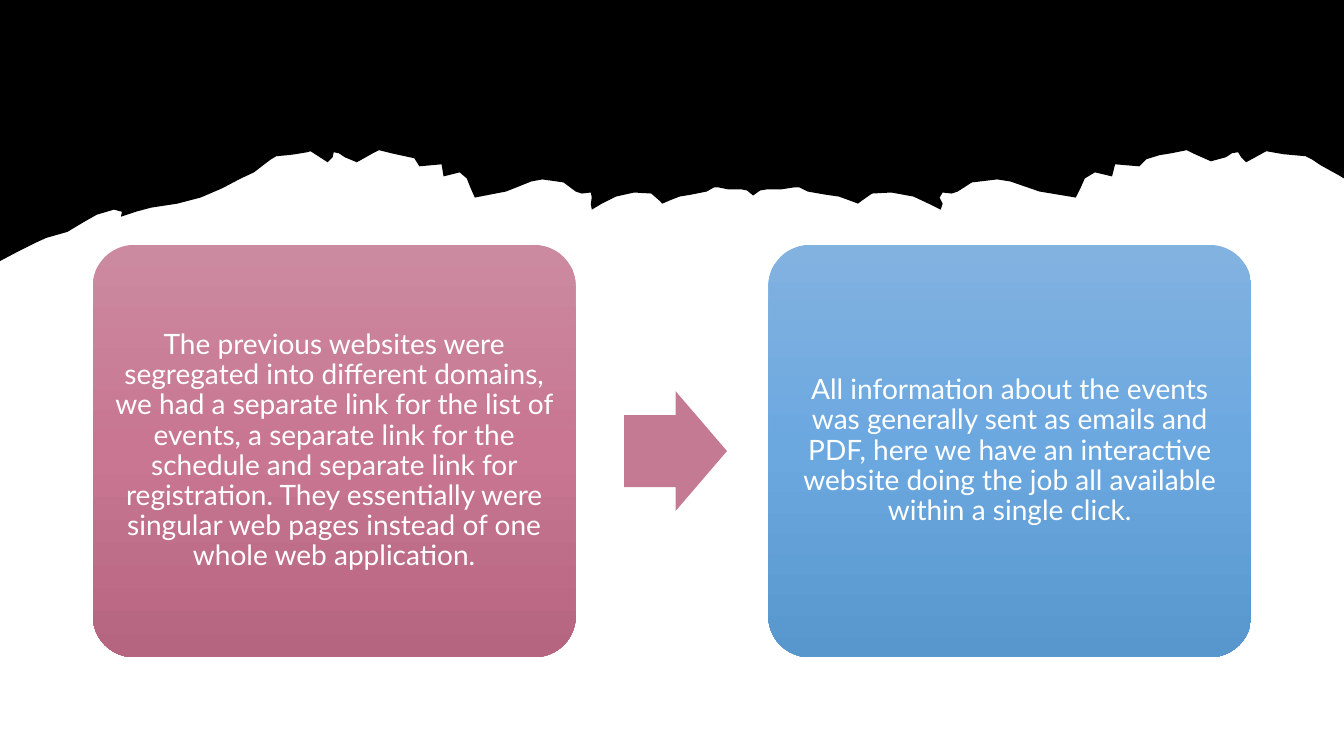
from copy import deepcopy
from dataclasses import dataclass

from lxml.etree import _Element
from pptx import Presentation
from pptx.dml.color import RGBColor
from pptx.enum.shapes import MSO_SHAPE
from pptx.enum.text import MSO_ANCHOR, PP_ALIGN
from pptx.oxml.ns import qn
from pptx.slide import Slide
from pptx.util import Inches, Pt

BLACK = RGBColor(0x00, 0x00, 0x00)
WHITE = RGBColor(0xFF, 0xFF, 0xFF)
ARROW_PINK = RGBColor(0xC4, 0x7A, 0x93)
PINKS = (RGBColor(0xCB, 0x8A, 0x9F), RGBColor(0xC8, 0x76, 0x92), RGBColor(0xB6, 0x65, 0x80))
BLUES = (RGBColor(0x82, 0xB2, 0xE0), RGBColor(0x6B, 0xA8, 0xE0), RGBColor(0x58, 0x96, 0xCE))

SLIDE_W, SLIDE_H = 13.33, 7.5
CARD_TOP, CARD_W, CARD_H = 2.43, 4.79, 4.09
ARROW_W, ARROW_H = 1.02, 1.19

# Torn lower edge of the black band, left to right, in inches
TORN_EDGE: list[tuple[float, float]] = [
    (0, 2.59), (0.19, 2.49), (0.35, 2.41), (0.46, 2.36), (0.67, 2.3), (0.82, 2.21),
    (0.96, 2.13), (1.13, 2.08), (1.21, 2.1), (1.2, 2.15), (1.35, 2.1), (1.5, 2.06),
    (1.76, 2.02), (1.99, 1.96), (2.2, 1.87), (2.39, 1.77), (2.52, 1.71), (2.61, 1.64),
    (2.69, 1.58), (2.74, 1.55), (2.85, 1.54), (2.93, 1.53), (3.05, 1.51), (3.08, 1.5),
    (3.25, 1.61), (3.3, 1.56), (3.31, 1.51), (3.36, 1.52), (3.42, 1.56), (3.54, 1.61),
    (3.7, 1.52), (3.76, 1.49), (3.88, 1.52), (3.97, 1.54), (4.11, 1.57), (4.16, 1.65),
    (4.38, 1.63), (4.4, 1.75), (4.56, 1.71), (4.63, 1.77), (4.67, 1.87), (4.71, 1.96),
    (5.02, 1.9), (5.27, 1.8), (5.38, 1.78), (5.59, 1.81), (5.71, 1.9), (5.77, 1.92),
    (5.86, 1.91), (5.87, 1.96), (5.86, 2.02), (5.87, 2.08), (5.97, 2.02), (6.11, 1.95),
    (6.29, 1.91), (6.46, 1.92), (6.54, 1.99), (6.57, 2.02), (6.64, 1.99), (6.74, 1.95),
    (6.86, 1.93), (7.01, 1.9), (7.08, 1.86), (7.13, 1.86), (7.23, 1.88), (7.36, 1.88),
    (7.41, 1.89), (7.47, 1.94), (7.54, 1.89), (7.6, 1.88), (7.74, 1.88), (7.87, 1.86),
    (7.93, 1.86), (8.01, 1.9), (8.18, 1.93), (8.32, 1.95), (8.43, 1.99), (8.51, 2.02),
    (8.55, 1.99), (8.65, 1.92), (8.84, 1.91), (9.06, 1.95), (9.21, 2.02), (9.33, 2.08),
    (9.35, 2.02), (9.32, 1.96), (9.35, 1.91), (9.44, 1.92), (9.5, 1.9), (9.64, 1.81),
    (9.89, 1.78), (10.02, 1.8), (10.31, 1.9), (10.67, 1.96), (10.72, 1.86), (10.76, 1.77),
    (10.86, 1.71), (11.03, 1.75), (11.06, 1.63), (11.3, 1.65), (11.37, 1.58), (11.5, 1.54),
    (11.62, 1.52), (11.77, 1.49), (11.83, 1.52), (12.01, 1.6), (12.16, 1.56), (12.22, 1.52),
    (12.28, 1.51), (12.31, 1.56), (12.36, 1.61), (12.56, 1.5), (12.73, 1.53), (12.84, 1.54),
    (12.95, 1.55), (13.01, 1.58), (13.1, 1.64), (13.28, 1.74), (13.33, 1.77),
]


@dataclass
class Card:
    left: float
    colors: tuple[RGBColor, RGBColor, RGBColor]
    text: str


CARDS = [
    Card(0.92, PINKS,
         "The previous websites were segregated into different domains, we had a separate link "
         "for the list of events, a separate link for the schedule and separate link for "
         "registration. They essentially were singular web pages instead of one whole web "
         "application."),
    Card(7.62, BLUES,
         "All information about the events was generally sent as emails and PDF, here we have "
         "an interactive website doing the job all available within a single click."),
]


def add_torn_band(s: Slide) -> None:
    corners = [(SLIDE_W, 0), (0, 0)]
    points = [(Inches(x), Inches(y)) for x, y in TORN_EDGE + corners]
    builder = s.shapes.build_freeform(*points[0])
    builder.add_line_segments(points[1:], close=True)
    sp = builder.convert_to_shape()
    sp.shadow.inherit = False
    sp.fill.solid()
    sp.fill.fore_color.rgb = BLACK
    sp.line.fill.background()


def add_card(s: Slide, card: Card) -> None:
    sp = s.shapes.add_shape(MSO_SHAPE.ROUNDED_RECTANGLE, Inches(card.left), Inches(CARD_TOP),
                            Inches(CARD_W), Inches(CARD_H))
    sp.adjustments[0] = 0.1
    sp.shadow.inherit = False
    sp.line.fill.background()

    # Three-stop gradient, top to bottom
    sp.fill.gradient()
    sp.fill.gradient_angle = 270
    stop_list: _Element = sp._element.spPr.find(f"{qn('a:gradFill')}/{qn('a:gsLst')}")
    stop_list.insert(1, deepcopy(stop_list[0]))
    for i, (stop, color) in enumerate(zip(sp.fill.gradient_stops, card.colors)):
        stop.color.rgb = color
        stop.position = i / 2

    tf = sp.text_frame
    tf.word_wrap = True
    tf.vertical_anchor = MSO_ANCHOR.MIDDLE
    tf.margin_left = tf.margin_right = tf.margin_top = tf.margin_bottom = Inches(0.08)
    p = tf.paragraphs[0]
    p.alignment = PP_ALIGN.CENTER
    p.line_spacing = 0.9
    r = p.add_run()
    r.text = card.text
    r.font.name = "Lato"
    r.font.size = Pt(20)
    r.font.color.rgb = WHITE


def add_arrow(s: Slide) -> None:
    top = CARD_TOP + (CARD_H - ARROW_H) / 2
    sp = s.shapes.add_shape(MSO_SHAPE.RIGHT_ARROW, Inches(6.19), Inches(top),
                            Inches(ARROW_W), Inches(ARROW_H))
    sp.adjustments[0] = 0.6
    sp.adjustments[1] = 0.5
    sp.shadow.inherit = False
    sp.fill.solid()
    sp.fill.fore_color.rgb = ARROW_PINK
    sp.line.fill.background()


def main() -> None:
    prs = Presentation()
    prs.slide_width, prs.slide_height = Inches(SLIDE_W), Inches(SLIDE_H)
    s = prs.slides.add_slide(prs.slide_layouts[6])

    # Header band, then the before and after cards joined by an arrow
    add_torn_band(s)
    for card in CARDS:
        add_card(s, card)
    add_arrow(s)

    prs.save("out.pptx")


if __name__ == "__main__":
    main()
